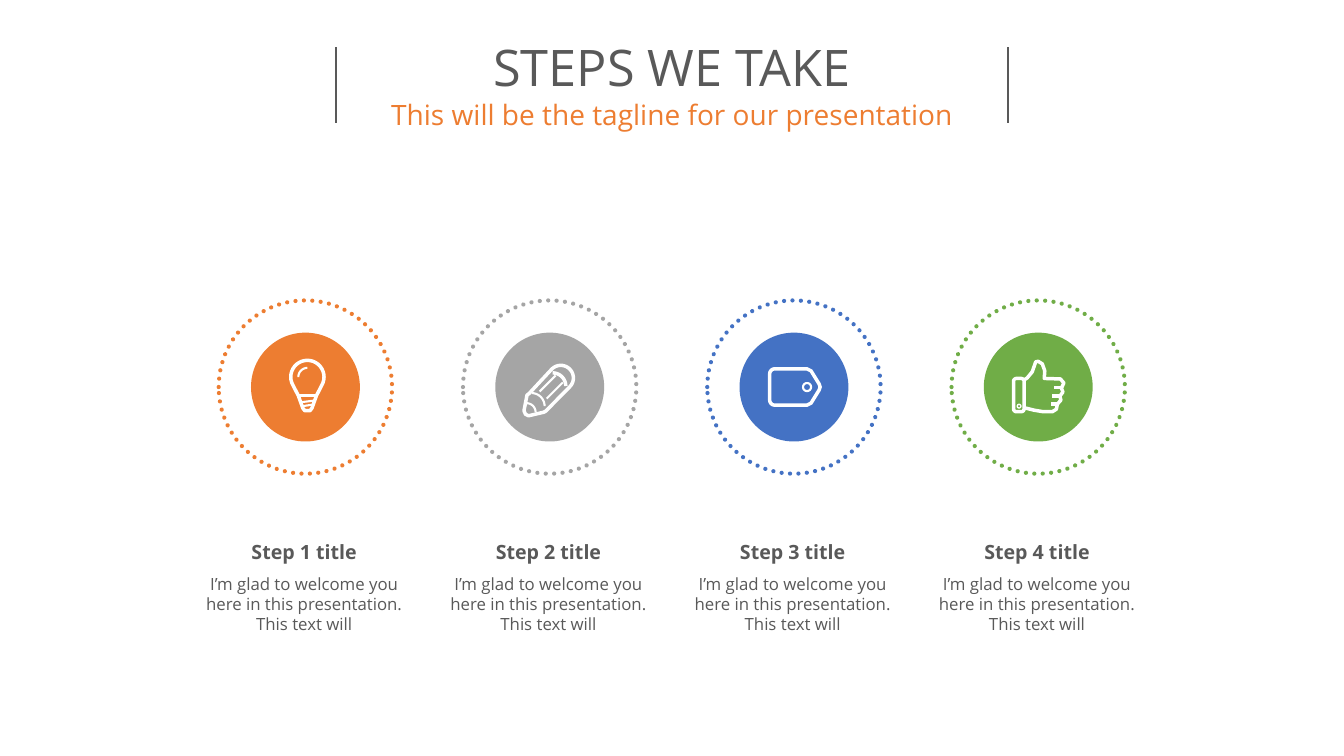
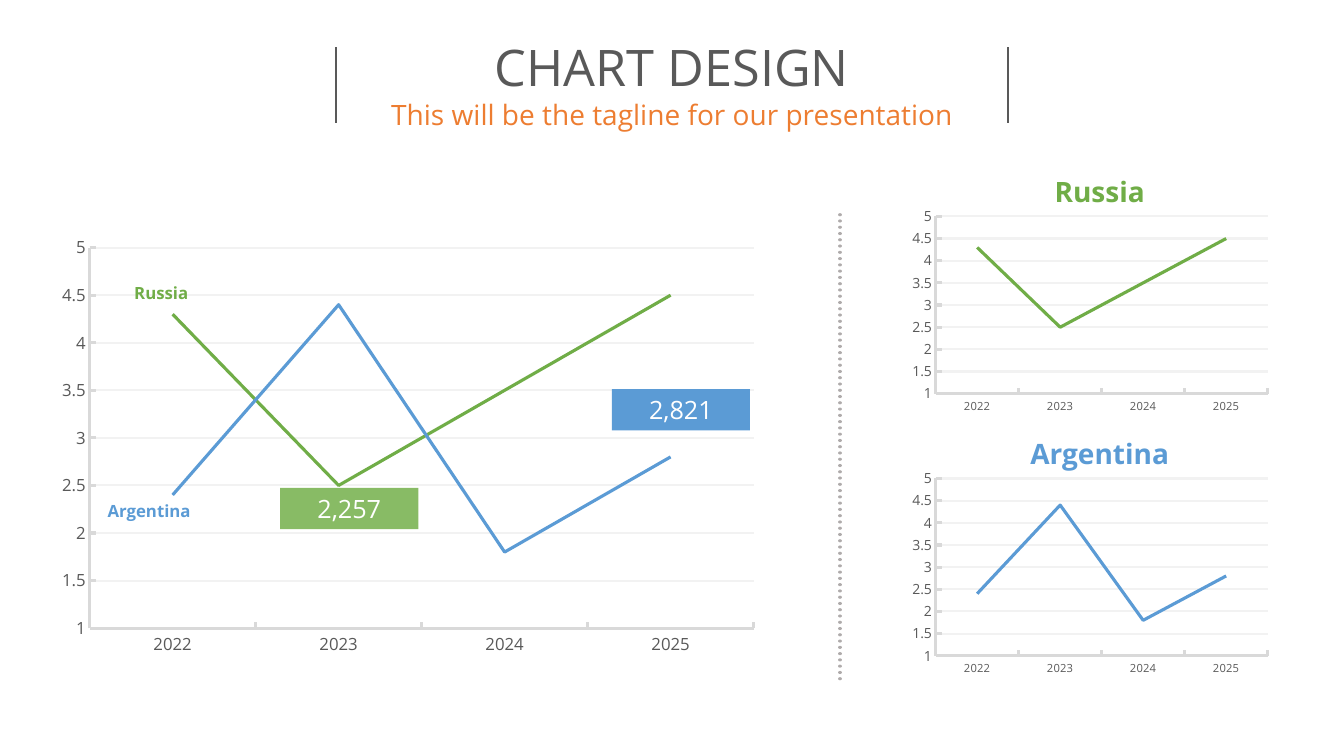
from dataclasses import dataclass
from math import cos, radians, sin

from lxml.etree import SubElement
from pptx import Presentation
from pptx.chart.data import CategoryChartData
from pptx.dml.color import RGBColor
from pptx.enum.chart import XL_CHART_TYPE, XL_TICK_MARK
from pptx.enum.dml import MSO_LINE
from pptx.enum.shapes import MSO_CONNECTOR, MSO_SHAPE
from pptx.enum.text import MSO_ANCHOR, MSO_AUTO_SIZE, PP_ALIGN
from pptx.oxml.ns import qn
from pptx.util import Inches, Pt


@dataclass(frozen=True)
class Theme:
    """Font, colours and type sizes shared by the slides."""
    font: str = "Open Sans"
    white: str = "FFFFFF"
    ink: str = "595959"
    orange: str = "ED7D31"
    gray: str = "A5A5A5"
    blue: str = "4472C4"
    sky: str = "5B9BD5"
    green: str = "70AD47"
    soft_green: str = "88BB65"
    axis: str = "D9D9D9"
    grid: str = "F2F2F2"
    divider: str = "AFABAB"
    title: int = 36
    heading: int = 20
    callout: int = 18
    step: int = 14
    body: int = 12
    small: int = 10
    tiny: int = 8


T = Theme()
WIDTH, HEIGHT = Inches(13.33), Inches(7.5)
COL, ROW = WIDTH / 40, HEIGHT / 30
TAGLINE = "This will be the tagline for our presentation"
STEP_TEXT = "I’m glad to welcome you here in this presentation. This text will"
YEARS = ["2022", "2023", "2024", "2025"]
RUSSIA = [4.3, 2.5, 3.5, 4.5]
ARGENTINA = [2.4, 4.4, 1.8, 2.8]
BOLD_STROKE, FINE_STROKE = 2.5, 1.5


def arc(x, y, radius, start, end):
    """Return points along an arc, clockwise, in hundredths of an inch."""
    angles = [radians(start + (end - start) * i / 24) for i in range(25)]
    return [(x + radius * cos(a), y + radius * sin(a)) for a in angles]


BULB = [
    (arc(2, -10, 16.5, 150, 390) + [(11, 8.5), (6.5, 21), (4.5, 23.5),
                                    (-0.5, 23.5), (-2.5, 21), (-7, 8.5)],
     True, BOLD_STROKE),
    ([(-7, 8.5), (11, 8.5)], False, BOLD_STROKE),
    ([(-4, 15), (8, 13.5)], False, FINE_STROKE),
    ([(-3, 19), (7, 17.5)], False, FINE_STROKE),
    (arc(2, -10, 9, 180, 270), False, FINE_STROKE),
]
PENCIL = [
    ([(-25.5, 23.5), (-22.5, 8), (-20.5, 6.5)] + arc(11, -9, 12.5, 225, 405)
     + [(-4, 24), (-6, 25), (-21, 28.5), (-24, 27)], True, BOLD_STROKE),
    (arc(3, -1, 13, 270, 360), False, BOLD_STROKE),
    (arc(-18, 19, 13, 270, 360), False, FINE_STROKE),
    (arc(-23, 25, 9, 270, 360), False, FINE_STROKE),
    ([(-10, 4.5), (6, -11.5)], False, FINE_STROKE),
    ([(-3, 11.5), (13, -4.5)], False, FINE_STROKE),
]
TAG = [
    (arc(-19, -13, 5, 180, 270) + [(13, -18), (17, -16), (25, -3), (26, 0),
                                   (25, 3), (17, 16), (13, 18)]
     + arc(-19, 13, 5, 90, 180), True, BOLD_STROKE),
    (arc(13, 0, 4, 0, 360), True, FINE_STROKE),
]
THUMB = [
    (arc(-21.5, -5.5, 3, 180, 270) + arc(-17, -5.5, 3, 270, 360)
     + arc(-17, 21.5, 3, 0, 90) + arc(-21.5, 21.5, 3, 90, 180),
     True, BOLD_STROKE),
    ([(-14, -7), (-11, -9), (-6, -15), (-3.5, -22), (-2.5, -25), (0, -25.5),
      (4, -23), (6.5, -16), (6, -8.5), (22, -8), (25.5, -4), (23, 1),
      (24.5, 5), (21.5, 9), (22.5, 13), (19, 17), (18, 22), (14, 24.5),
      (5, 24.5), (-4, 23), (-12, 21), (-14, 21)], False, BOLD_STROKE),
    ([(16, 0.5), (23, 0.5)], False, BOLD_STROKE),
    ([(14, 9), (22, 9)], False, BOLD_STROKE),
    ([(13, 17), (20, 17)], False, BOLD_STROKE),
    (arc(-19, 19, 1.8, 0, 360), True, 1),
]
STEPS = [(T.orange, BULB), (T.gray, PENCIL), (T.blue, TAG), (T.green, THUMB)]


def rgb(color):
    """Turn a hex string into a colour."""
    return RGBColor.from_string(color)


def box(col, row, cols, rows):
    """Turn grid columns and rows into left, top, width and height."""
    return round(col * COL), round(row * ROW), round(cols * COL), round(rows * ROW)


def style_font(font, size, color, bold=False):
    """Apply the theme font with a size and a colour."""
    font.name, font.size, font.bold = T.font, Pt(size), bold
    font.color.rgb = rgb(color)


def style_line(line, color, width):
    """Give a line its colour and width."""
    line.color.rgb = rgb(color)
    line.width = Pt(width)


def dot_line(shape):
    """Draw the line of a shape as round dots."""
    shape.line.dash_style = MSO_LINE.ROUND_DOT
    shape.element.spPr.find(qn("a:ln")).set("cap", "rnd")


def write(shape, text, size, color, bold=False, anchor=MSO_ANCHOR.TOP):
    """Write one centred paragraph into a shape."""
    tf = shape.text_frame
    tf.word_wrap, tf.auto_size = True, MSO_AUTO_SIZE.NONE
    tf.vertical_anchor = anchor
    p = tf.paragraphs[0]
    p.text, p.alignment, p.space_before = text, PP_ALIGN.CENTER, Pt(0)
    style_font(p.font, size, color, bold)


def add_text(s, place, text, size, color, bold=False):
    """Add a centred text box."""
    write(s.shapes.add_textbox(*box(*place)), text, size, color, bold)


def add_solid(s, kind, place, color):
    """Add a filled preset shape without an outline."""
    sp = s.shapes.add_shape(kind, *box(*place))
    sp.shadow.inherit = False
    sp.fill.solid()
    sp.fill.fore_color.rgb = rgb(color)
    sp.line.fill.background()
    return sp


def add_rule(s, col, top, bottom, color, width):
    """Add a vertical line at a grid column."""
    x, y, _, height = box(col, top, 0, bottom - top)
    rule = s.shapes.add_connector(MSO_CONNECTOR.STRAIGHT, x, y, x, y + height)
    style_line(rule.line, color, width)
    SubElement(rule.element.spPr, qn("a:effectLst"))
    return rule


def add_slide(prs, title):
    """Add a slide with its title, tagline and the two side rules."""
    s = prs.slides.add_slide(prs.slide_layouts[0])
    headings = [
        (s.shapes.title, (10, 1.24, 20, 2.84), title, T.title, T.ink),
        (s.placeholders[1], (9.25, 3.68, 21.5, 1.76), TAGLINE, T.heading, T.orange),
    ]
    for sp, place, text, size, color in headings:
        sp.left, sp.top, sp.width, sp.height = box(*place)
        write(sp, text, size, color)
    for col in (10, 30):
        add_rule(s, col, 1.88, 4.88, T.ink, 1.5)
    return s


def add_circle(s, col, row, size, color):
    """Add a circle centred on a grid point, its size given in columns."""
    rows = size * COL / ROW
    place = (col - size / 2, row - rows / 2, size, rows)
    return add_solid(s, MSO_SHAPE.OVAL, place, color)


def add_icon(s, col, row, strokes):
    """Draw white strokes around a grid point."""
    x, y, _, _ = box(col, row, 0, 0)
    for points, closed, width in strokes:
        start, *rest = [(Inches(px / 100), Inches(py / 100)) for px, py in points]
        builder = s.shapes.build_freeform(*start)
        builder.add_line_segments(rest, close=closed)
        sp = builder.convert_to_shape(x, y)
        sp.shadow.inherit = False
        sp.fill.background()
        style_line(sp.line, T.white, width)


def add_step(s, number, color, icon):
    """Add a step: dotted ring, disc, icon, heading and text."""
    col, row = 9.09 + 7.27 * (number - 1), 15.36
    ring = add_circle(s, col, row, 5.16, T.white)
    style_line(ring.line, color, 3)
    dot_line(ring)
    add_circle(s, col, row, 3.24, color)
    add_icon(s, col, row, icon)
    left, width = col - 3.26, 6.45
    add_text(s, (left, 21.24, width, 1.36), f"Step {number} title", T.step, T.ink, True)
    add_text(s, (left, 22.56, width, 2.84), STEP_TEXT, T.body, T.ink)


def set_plot_area(chart, **shares):
    """Fix the inner plot area as shares of the chart."""
    area = chart.element.find(".//" + qn("c:plotArea"))
    layout = area.find(qn("c:layout"))
    if layout is None:
        layout = SubElement(area, qn("c:layout"))
        area.insert(0, layout)
    manual = SubElement(layout, qn("c:manualLayout"))
    settings = {"layoutTarget": "inner", "xMode": "edge", "yMode": "edge", **shares}
    for tag, value in settings.items():
        SubElement(manual, qn("c:" + tag)).set("val", str(value))


def add_line_chart(s, place, series, category_size, value_size, plot):
    """Add a line chart of (values, colour) series."""
    data = CategoryChartData()
    data.categories = YEARS
    for number, (values, _) in enumerate(series, 1):
        data.add_series(f"Series {number}", values)
    chart = s.shapes.add_chart(XL_CHART_TYPE.LINE, *box(*place), data).chart
    chart.has_legend = chart.has_title = False
    chart.font.name, chart.font.size = T.font, Pt(T.small)
    chart.plots[0].vary_by_categories = False
    for line, (_, color) in zip(chart.plots[0].series, series):
        line.smooth = False
        style_line(line.format.line, color, 2.25)
    axes = [(chart.category_axis, category_size, 2), (chart.value_axis, value_size, 2.25)]
    for axis, size, width in axes:
        axis.major_tick_mark = XL_TICK_MARK.INSIDE
        axis.minor_tick_mark = XL_TICK_MARK.NONE
        style_line(axis.format.line, T.axis, width)
        style_font(axis.tick_labels.font, size, T.ink)
    axis = chart.value_axis
    axis.minimum_scale, axis.maximum_scale, axis.major_unit = 1, 5, 0.5
    axis.has_major_gridlines = True
    style_line(axis.major_gridlines.format.line, T.grid, 1.5)
    set_plot_area(chart, **plot)


def add_callout(s, col, row, text, color):
    """Add a coloured value box."""
    sp = add_solid(s, MSO_SHAPE.RECTANGLE, (col, row, 4.11, 1.64), color)
    write(sp, text, T.callout, T.white, anchor=MSO_ANCHOR.MIDDLE)


def build_steps(prs):
    """Build the slide with the four steps."""
    s = add_slide(prs, "STEPS WE TAKE")
    for number, (color, icon) in enumerate(STEPS, 1):
        add_step(s, number, color, icon)


def build_charts(prs):
    """Build the slide with the joint chart and one chart per country."""
    s = add_slide(prs, "CHART DESIGN")
    dot_line(add_rule(s, 25, 8.52, 26.96, T.divider, 2.25))
    countries = [("Russia", RUSSIA, T.green, 3.12, 11.04),
                 ("Argentina", ARGENTINA, T.sky, 2.76, 19.68)]
    add_line_chart(s, (1.38, 8.96, 21.48, 17.36),
                   [(values, color) for _, values, color, _, _ in countries],
                   T.body, T.body, dict(x=0.06, y=0.05, w=0.92, h=0.87))
    for i, (name, values, color, col, row) in enumerate(countries):
        drop = 10.4 * i
        add_line_chart(s, (26.97, 8.08 + drop, 10.98, 8.48), [(values, color)],
                       T.tiny, T.small, dict(x=0.08, y=0.06, w=0.9, h=0.83))
        add_text(s, (28.95, 6.72 + drop, 7.56, 1.76), name, T.heading, color, True)
        add_text(s, (col, row, 3.36, 1.2), name, T.body, color, True)
    add_callout(s, 18.21, 15.44, "2,821", T.sky)
    add_callout(s, 8.34, 19.36, "2,257", T.soft_green)


def main():
    """Build and save the presentation."""
    prs = Presentation()
    prs.slide_width, prs.slide_height = WIDTH, HEIGHT
    build_steps(prs)
    build_charts(prs)
    prs.save("out.pptx")


if __name__ == "__main__":
    main()
